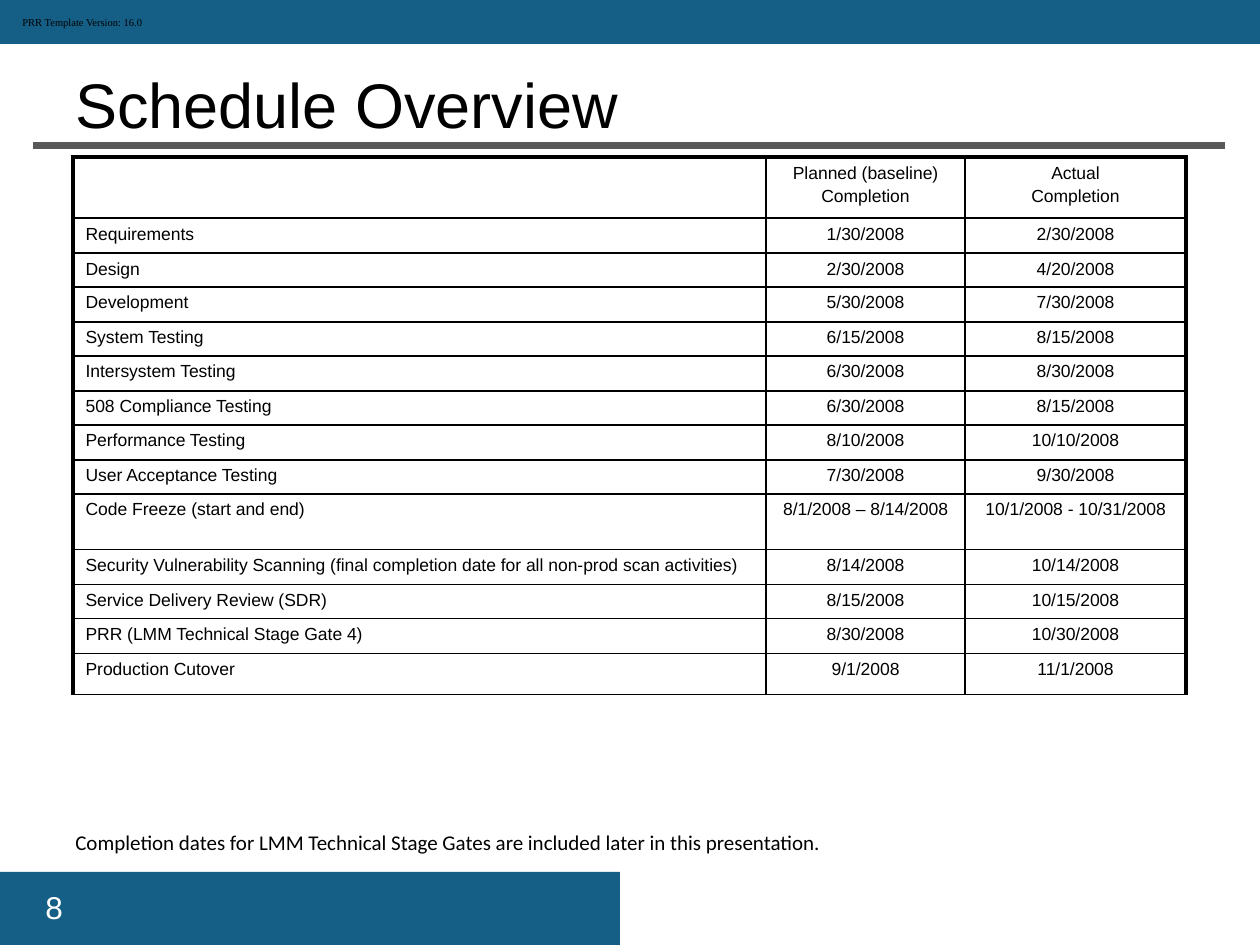
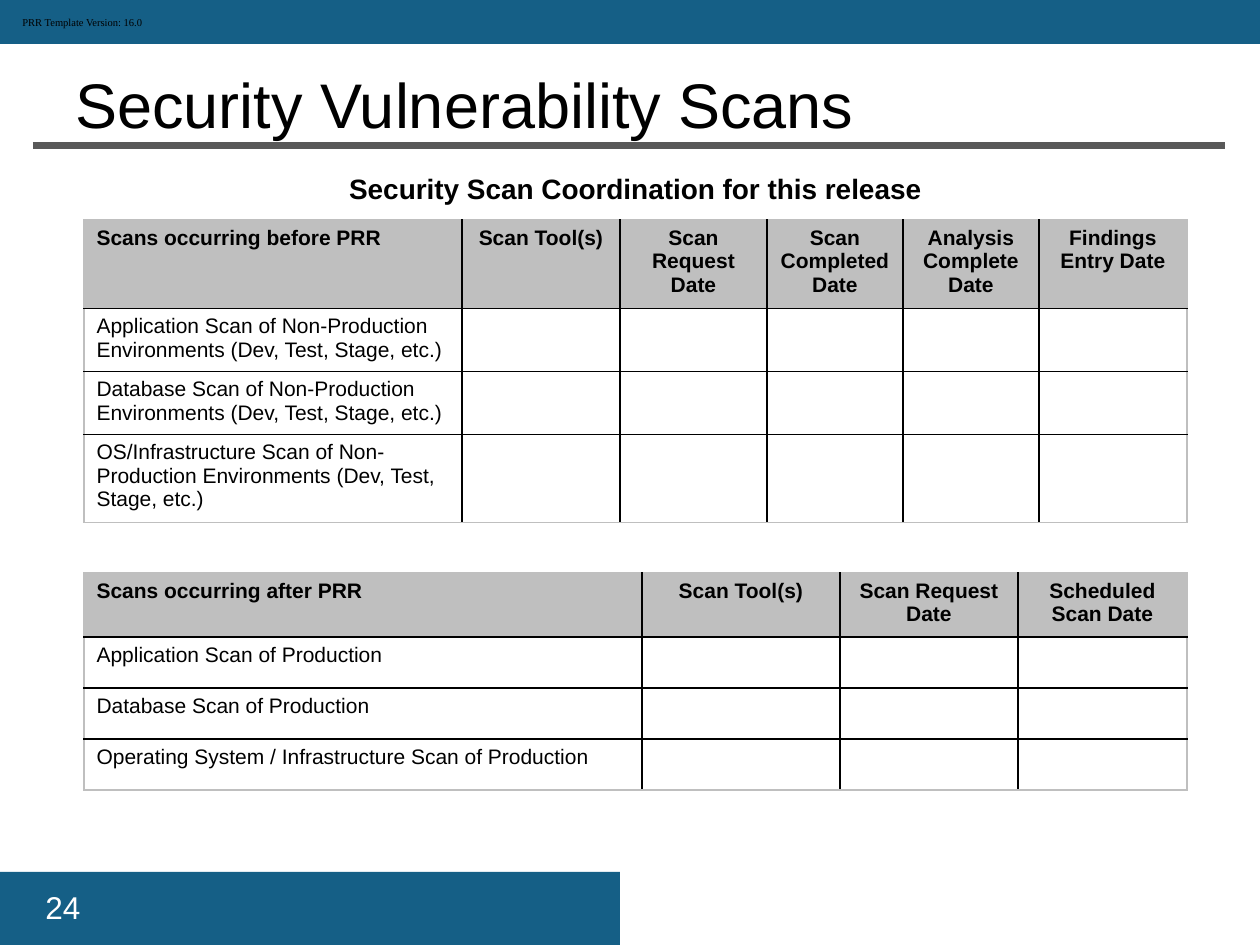
"""Builds two release review slides: the schedule overview and the security scans."""
from lxml import etree
from pptx import Presentation, util as u
from pptx.dml.color import RGBColor
from pptx.enum import shapes, text
from pptx.oxml.ns import qn

PX = 914400 / 126
BLUE, DARK_GRAY, GRAY, BLACK, WHITE = "155F86", "595959", "BFBFBF", "000000", "FFFFFF"
LEFT, CENTER = text.PP_ALIGN.LEFT, text.PP_ALIGN.CENTER
THIN = (BLACK, 1)

MILESTONES = [
    ("", "Planned (baseline)\nCompletion", "Actual\nCompletion"),
    ("Requirements", "1/30/2008", "2/30/2008"),
    ("Design", "2/30/2008", "4/20/2008"),
    ("Development", "5/30/2008", "7/30/2008"),
    ("System Testing", "6/15/2008", "8/15/2008"),
    ("Intersystem Testing", "6/30/2008", "8/30/2008"),
    ("508 Compliance Testing", "6/30/2008", "8/15/2008"),
    ("Performance Testing", "8/10/2008", "10/10/2008"),
    ("User Acceptance Testing", "7/30/2008", "9/30/2008"),
    ("Code Freeze (start and end)", "8/1/2008 – 8/14/2008", "10/1/2008 - 10/31/2008"),
    ("Security Vulnerability Scanning (final completion date for all non-prod scan activities)",
     "8/14/2008", "10/14/2008"),
    ("Service Delivery Review (SDR)", "8/15/2008", "10/15/2008"),
    ("PRR (LMM Technical Stage Gate 4)", "8/30/2008", "10/30/2008"),
    ("Production Cutover", "9/1/2008", "11/1/2008"),
]
SCANS_BEFORE = [
    ("Scans occurring before PRR", "Scan Tool(s)", "Scan Request Date",
     "Scan Completed Date", "Analysis Complete Date", "Findings Entry Date"),
    ("Application Scan of Non-Production Environments (Dev, Test, Stage, etc.)",),
    ("Database Scan of Non-Production Environments (Dev, Test, Stage, etc.)",),
    ("OS/Infrastructure Scan of Non-Production Environments (Dev, Test, Stage, etc.)",),
]
SCANS_AFTER = [
    ("Scans occurring after PRR", "Scan Tool(s)", "Scan Request Date", "Scheduled Scan Date"),
    ("Application Scan of Production",),
    ("Database Scan of Production",),
    ("Operating System / Infrastructure Scan of Production",),
]


def px(length):
    return u.Emu(round(length * PX))


def color(value):
    return RGBColor.from_string(value)


class Deck:
    def __init__(self):
        self.presentation = Presentation()
        self.presentation.slide_width = px(1260)
        self.presentation.slide_height = px(945)
        self.slide = None

    def start(self, title, number):
        self.slide = self.presentation.slides.add_slide(self.presentation.slide_layouts[6])
        self.band(0, 872, 620, 73)
        self.band(0, 0, 1260, 44)
        self.rule(33, 1225, 146)
        self.label(number, 33, 882, 276, 50, size=18, ink=WHITE)
        self.label(title, 63, 57, 1178, 90, size=36, anchor=text.MSO_ANCHOR.BOTTOM)
        self.label("PRR Template Version: 16.0", 10, 10, 148, 25, size=6, font="Times New Roman")

    def band(self, left, top, width, height):
        shape = self.slide.shapes.add_shape(
            shapes.MSO_SHAPE.RECTANGLE, px(left), px(top), px(width), px(height))
        shape.shadow.inherit = False
        shape.fill.solid()
        shape.fill.fore_color.rgb = color(BLUE)
        shape.line.fill.background()

    def rule(self, left, right, y):
        connector = self.slide.shapes.add_connector(
            shapes.MSO_CONNECTOR.STRAIGHT, px(left), px(y), px(right), px(y))
        connector.line.color.rgb = color(DARK_GRAY)
        connector.line.width = u.Pt(4)
        etree.SubElement(connector._element.spPr, qn("a:effectLst"))

    def set_text(self, frame, content, size, font="Arial", ink=BLACK, bold=False, align=LEFT):
        frame.text = content
        for index, paragraph in enumerate(frame.paragraphs):
            paragraph.alignment = align
            if index:
                paragraph.space_before = u.Pt(size / 5)
            paragraph.font.size = u.Pt(size)
            paragraph.font.name = font
            paragraph.font.bold = bold
            paragraph.font.color.rgb = color(ink)

    def label(self, content, left, top, width, height, anchor=text.MSO_ANCHOR.TOP, **style):
        shape = self.slide.shapes.add_textbox(px(left), px(top), px(width), px(height))
        shape.text_frame.word_wrap = True
        shape.text_frame.vertical_anchor = anchor
        self.set_text(shape.text_frame, content, **style)

    def border(self, cell, side, ink, width):
        properties = cell._tc.get_or_add_tcPr()
        line = etree.SubElement(properties, qn(f"a:ln{side}"), w=str(u.Pt(width)))
        fill = etree.SubElement(line, qn("a:solidFill"))
        etree.SubElement(fill, qn("a:srgbClr"), val=ink)

    def table(self, rows, left, top, widths, heights, size, edge, bottom, header_fill=None):
        table = self.slide.shapes.add_table(
            len(heights), len(widths), px(left), px(top), px(sum(widths)), px(sum(heights))).table
        table.first_row = table.horz_banding = False
        for column, width in zip(table.columns, widths):
            column.width = px(width)
        last_row, last_column = len(heights) - 1, len(widths) - 1
        for r, (row, height) in enumerate(zip(rows, heights)):
            table.rows[r].height = px(height)
            for c in range(len(widths)):
                cell = table.cell(r, c)
                self.border(cell, "L", *(THIN if c else edge))
                self.border(cell, "R", *(edge if c == last_column else THIN))
                self.border(cell, "T", *(THIN if r else edge))
                self.border(cell, "B", *(bottom if r == last_row else THIN))
                header = header_fill is not None and r == 0
                if header:
                    cell.fill.solid()
                    cell.fill.fore_color.rgb = color(header_fill)
                else:
                    cell.fill.background()
                self.set_text(cell.text_frame, row[c] if c < len(row) else "", size,
                              bold=header, align=CENTER if c else LEFT)


def main():
    deck = Deck()

    deck.start("Schedule Overview", "8")
    deck.table(MILESTONES, 73, 157, [693, 199, 221],
               [61] + [35, 34] * 4 + [56, 35, 34, 35, 41],
               size=10, edge=(BLACK, 2.25), bottom=THIN)
    deck.label("Completion dates for LMM Technical Stage Gates are included later in this presentation.",
               63, 823, 1144, 38, size=12, font="Calibri")

    deck.start("Security Vulnerability Scans", "24")
    deck.label("Security Scan Coordination for this release", 42, 165, 1187, 47,
               size=16, bold=True, align=CENTER)
    scan_style = dict(size=12, edge=(GRAY, 1), bottom=(GRAY, 1), header_fill=GRAY)
    deck.table(SCANS_BEFORE, 84, 220, [378, 158, 147, 136, 136, 148],
               [83, 60, 60, 83], **scan_style)
    deck.table(SCANS_AFTER, 84, 573, [558, 198, 178, 169], [64, 51, 51, 51], **scan_style)

    deck.presentation.save("out.pptx")


if __name__ == "__main__":
    main()
